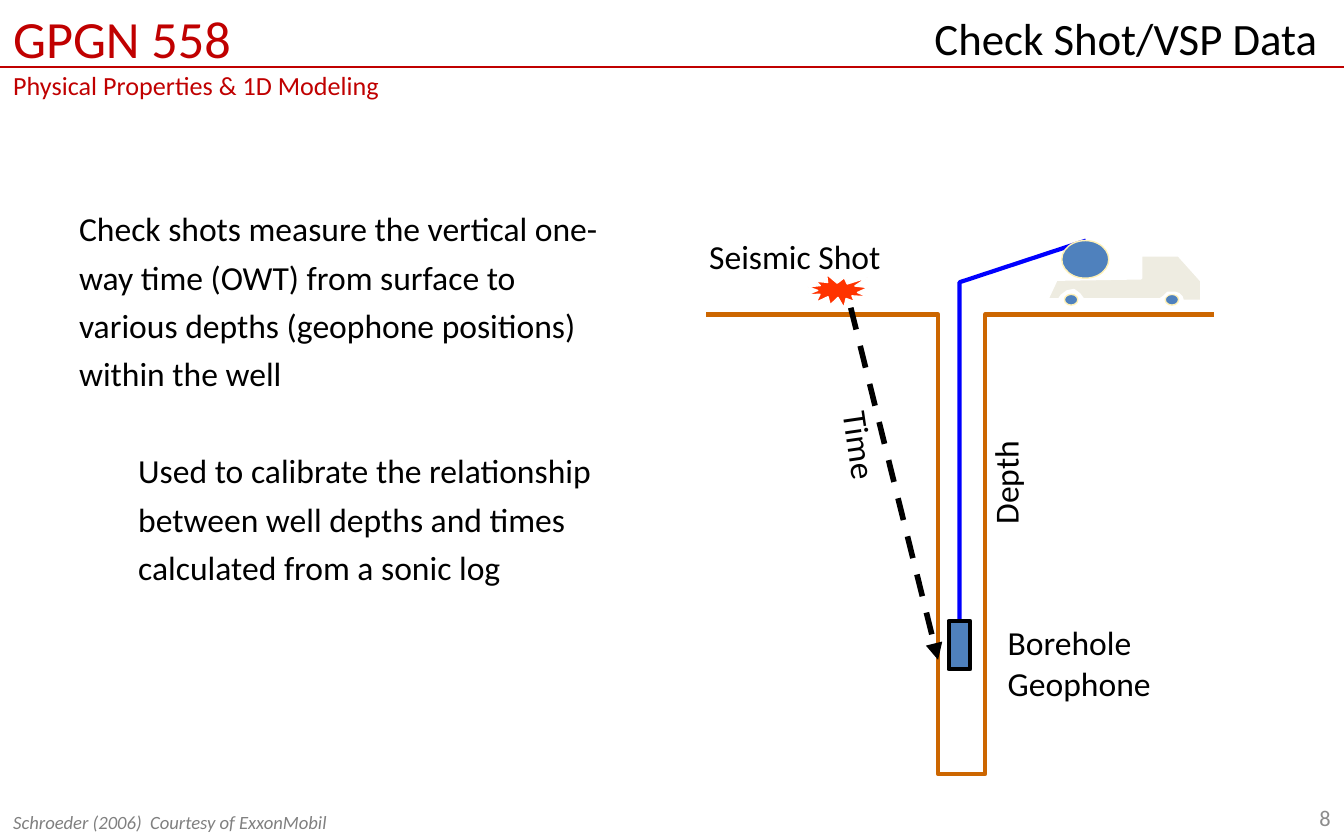
from dataclasses import dataclass

from lxml import etree
from pptx import Presentation
from pptx.dml.color import RGBColor
from pptx.enum import dml, shapes, text
from pptx.oxml import ns
from pptx.util import Inches, Pt

BLACK = RGBColor(0x00, 0x00, 0x00)
WHITE = RGBColor(0xFF, 0xFF, 0xFF)
CRIMSON = RGBColor(0xC0, 0x00, 0x00)
GREY = RGBColor(0x80, 0x80, 0x80)
PAGE_GREY = RGBColor(0x8C, 0x8C, 0x8C)
CABLE_BLUE = RGBColor(0x00, 0x00, 0xFF)
STEEL_BLUE = RGBColor(0x4F, 0x81, 0xBD)
CREAM = RGBColor(0xFF, 0xF1, 0xB7)
TRUCK_BEIGE = RGBColor(0xEE, 0xEC, 0xE1)
EARTH = RGBColor(0xCC, 0x66, 0x00)
SHOT_RED = RGBColor(0xFF, 0x33, 0x00)

LEFT, CENTER, RIGHT = text.PP_ALIGN.LEFT, text.PP_ALIGN.CENTER, text.PP_ALIGN.RIGHT
TOP, MIDDLE = text.MSO_ANCHOR.TOP, text.MSO_ANCHOR.MIDDLE
OVAL = shapes.MSO_SHAPE.OVAL


@dataclass
class Line:
    words: str
    size: float = 18
    color: RGBColor = BLACK
    italic: bool = False
    align: text.PP_ALIGN = LEFT
    spacing: float = 1.0
    before: float = 0
    indent: float = 0


@dataclass
class Label:
    at: tuple[float, float, float, float]
    lines: list[Line]
    anchor: text.MSO_ANCHOR = TOP
    right_inset: float = 0.1
    rotation: float = 0


@dataclass
class Solid:
    kind: shapes.MSO_SHAPE
    at: tuple[float, float, float, float]
    fill: RGBColor
    line: RGBColor
    width: float = 0.75
    flipped: bool = False


@dataclass
class Outline:
    points: list[tuple[float, float]]
    line: RGBColor
    width: float
    fill: RGBColor | None = None


def add_label(page, label: Label) -> None:
    box = page.shapes.add_textbox(*map(Inches, label.at))
    box.rotation = label.rotation
    frame = box.text_frame
    frame.word_wrap = True
    frame.vertical_anchor = label.anchor
    frame.margin_right = Inches(label.right_inset)
    for index, line in enumerate(label.lines):
        para = frame.add_paragraph() if index else frame.paragraphs[0]
        para.text = line.words
        para.alignment = line.align
        para.line_spacing = line.spacing
        if line.before:
            para.space_before = Pt(line.before)
        if line.indent:
            para._p.get_or_add_pPr().set("marL", str(Inches(line.indent)))
        para.font.name = "Calibri"
        para.font.size = Pt(line.size)
        para.font.italic = line.italic
        para.font.color.rgb = line.color


def paint(shape, fill: RGBColor | None, line: RGBColor, width: float) -> None:
    shape.shadow.inherit = False
    if fill is None:
        shape.fill.background()
    else:
        shape.fill.solid()
        shape.fill.fore_color.rgb = fill
    shape.line.color.rgb = line
    shape.line.width = Pt(width)


def add_solid(page, solid: Solid) -> None:
    shape = page.shapes.add_shape(solid.kind, *map(Inches, solid.at))
    paint(shape, solid.fill, solid.line, solid.width)
    if solid.flipped:
        shape._element.spPr.xfrm.set("flipH", "1")


def add_outline(page, outline: Outline) -> None:
    """Draw a polyline, closed only when it has a fill."""
    points = [(Inches(x), Inches(y)) for x, y in outline.points]
    builder = page.shapes.build_freeform(*points[0])
    builder.add_line_segments(points[1:], close=outline.fill is not None)
    paint(builder.convert_to_shape(), outline.fill, outline.line, outline.width)


def add_line(page, start: tuple[float, float], end: tuple[float, float],
             color: RGBColor, width: float, dashed_arrow: bool = False) -> None:
    line = page.shapes.add_connector(
        shapes.MSO_CONNECTOR.STRAIGHT, *map(Inches, start + end))
    line.line.color.rgb = color
    line.line.width = Pt(width)
    if dashed_arrow:
        line.line.dash_style = dml.MSO_LINE.DASH
        etree.SubElement(line.line._get_or_add_ln(), ns.qn("a:tailEnd"), type="triangle")
    etree.SubElement(line._element.spPr, ns.qn("a:effectLst"))


HEADINGS = [
    Label((0, 0, 3.17, 0.79), [Line("GPGN 558", 28, CRIMSON),
                               Line("Physical Properties & 1D Modeling", 14, CRIMSON)],
          right_inset=0.2),
    Label((4.08, 0.03, 5.92, 0.5), [Line("Check Shot/VSP Data", 24, align=RIGHT)],
          right_inset=0.2),
    Label((7.67, 5.92, 2.33, 0.33), [Line("8", 12, PAGE_GREY, align=RIGHT)], MIDDLE),
    Label((0, 5.98, 4.25, 0.27),
          [Line("Schroeder (2006)  Courtesy of ExxonMobil", 10, GREY, italic=True)], MIDDLE),
]

EXPLANATION = Label((0.49, 1.44, 4.17, 3.01), [
    Line("Check shots measure the vertical one-way time (OWT) from surface to "
         "various depths (geophone positions) within the well", spacing=1.2),
    Line("Used to calibrate the relationship between well depths and times "
         "calculated from a sonic log", spacing=1.2, before=26, indent=0.44),
])

DIAGRAM_LABELS = [
    Label((5, 1.71, 1.83, 0.4), [Line("Seismic Shot", align=CENTER)]),
    Label((7.4, 4.58, 1.84, 0.7), [Line("Borehole Geophone")]),
    Label((5.84, 3.36, 1.2, 0.4), [Line("Time")], rotation=81.7),
    Label((6.89, 3.21, 1.18, 0.4), [Line("Depth")], rotation=270),
]

CABLE = Outline([(8.08, 1.79), (7.14, 2.1), (7.14, 4.74)], CABLE_BLUE, 2.25)
TRUCK = Outline([
    (8.94, 2.24), (8.8, 2.24), (8.79, 2.21), (8.77, 2.19), (8.74, 2.18), (8.69, 2.18),
    (8.66, 2.21), (8.63, 2.23), (8.06, 2.23), (8.03, 2.19), (7.99, 2.16), (7.94, 2.17),
    (7.9, 2.2), (7.88, 2.23), (7.79, 2.23), (7.86, 2.08), (8.49, 2.07), (8.49, 1.9),
    (8.77, 1.9), (8.94, 2.09)], WHITE, 1.5, TRUCK_BEIGE)
WELL = Outline([(9.03, 2.34), (7.33, 2.34), (7.33, 5.76), (6.98, 5.76), (6.98, 2.34),
                (5.25, 2.34)], EARTH, 2.25)

WHEELS = [Solid(OVAL, (left, 2.19, 0.1, 0.08), STEEL_BLUE, CREAM) for left in (8.67, 7.92)]
CABLE_REEL = Solid(OVAL, (7.9, 1.79, 0.35, 0.28), STEEL_BLUE, CREAM)
GEOPHONE = Solid(shapes.MSO_SHAPE.RECTANGLE, (7.06, 4.62, 0.16, 0.36), STEEL_BLUE, BLACK, 2.25)
SHOT = Solid(shapes.MSO_SHAPE.EXPLOSION1, (6, 2.04, 0.46, 0.25), SHOT_RED, WHITE, flipped=True)


def main() -> None:
    deck = Presentation()
    deck.slide_width, deck.slide_height = Inches(10), Inches(6.25)
    page = deck.slides.add_slide(deck.slide_layouts[6])

    add_line(page, (0, 0.5), (10, 0.5), CRIMSON, 1.25)
    for heading in HEADINGS:
        add_label(page, heading)

    add_outline(page, CABLE)
    for wheel in WHEELS:
        add_solid(page, wheel)
    add_outline(page, TRUCK)
    add_solid(page, CABLE_REEL)
    add_solid(page, GEOPHONE)
    add_outline(page, WELL)
    add_line(page, (6.33, 2.29), (6.98, 4.91), BLACK, 3, dashed_arrow=True)
    add_solid(page, SHOT)
    for label in DIAGRAM_LABELS:
        add_label(page, label)
    add_label(page, EXPLANATION)

    deck.save("out.pptx")


if __name__ == "__main__":
    main()
